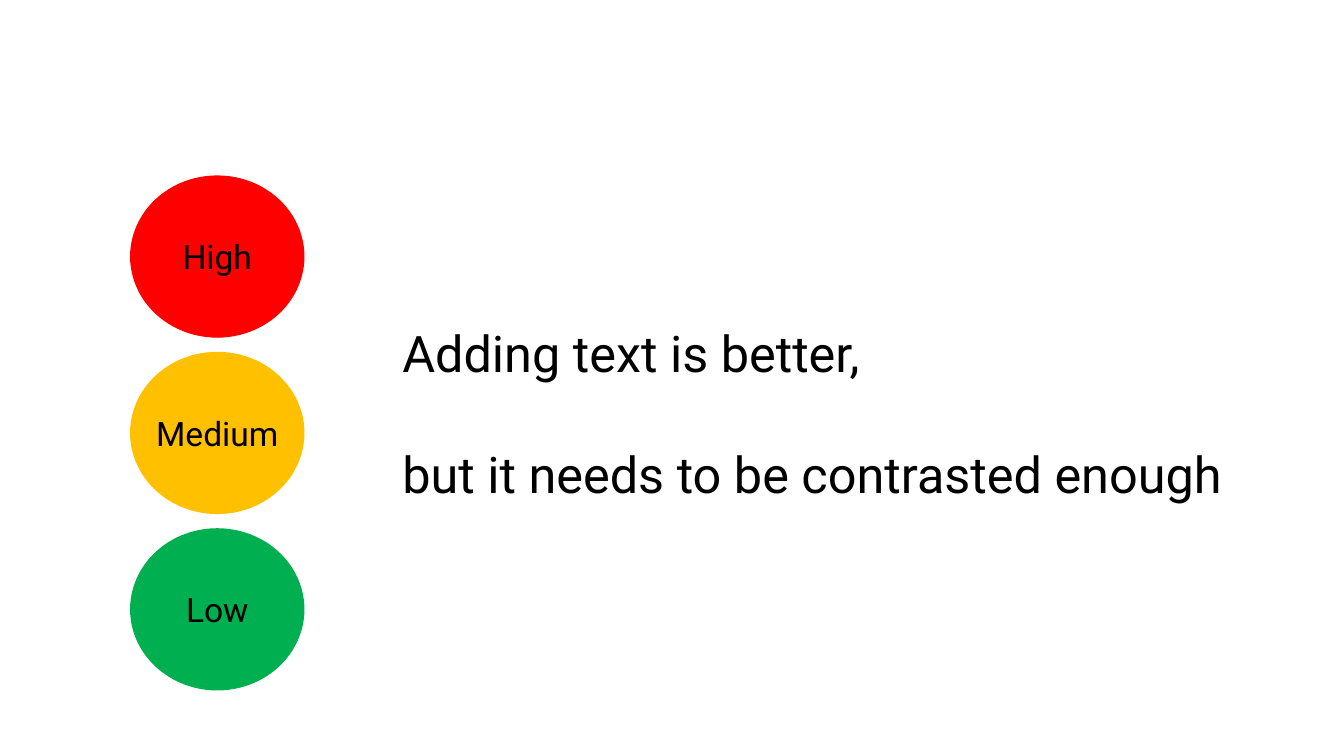
from pptx import Presentation
from pptx.dml.color import RGBColor
from pptx.enum.shapes import MSO_SHAPE
from pptx.enum.text import MSO_ANCHOR, PP_ALIGN
from pptx.util import Inches, Pt

BLACK = RGBColor(0x00, 0x00, 0x00)
RED = RGBColor(0xFF, 0x00, 0x00)
AMBER = RGBColor(0xFF, 0xC0, 0x00)
GREEN = RGBColor(0x00, 0xB0, 0x50)

LIGHT_LEFT, LIGHT_TOP = 1.29, 1.74
LIGHT_WIDTH, LIGHT_HEIGHT = 1.73, 1.61
LIGHT_PITCH = 1.75
LABEL_WIDTH, LABEL_HEIGHT = 1.22, 0.4
LABEL_LEFT = LIGHT_LEFT + (LIGHT_WIDTH - LABEL_WIDTH) / 2
LABEL_DROP = (LIGHT_HEIGHT - LABEL_HEIGHT) / 2


def add_text(shapes, left, top, width, height, text, size, margin):
    box = shapes.add_textbox(Inches(left), Inches(top), Inches(width), Inches(height))
    frame = box.text_frame
    frame.word_wrap = True
    frame.margin_left = frame.margin_right = Inches(margin)
    frame.margin_top = frame.margin_bottom = Inches(margin)
    frame.text = text
    for paragraph in frame.paragraphs:
        paragraph.font.name = "Roboto"
        paragraph.font.size = Pt(size)
        paragraph.font.color.rgb = BLACK
    return frame


presentation = Presentation()
presentation.slide_width = Inches(13.33)
presentation.slide_height = Inches(7.5)
slide = presentation.slides.add_slide(presentation.slide_layouts[6])

lights = [("High", RED), ("Medium", AMBER), ("Low", GREEN)]
for row, (level, color) in enumerate(lights):
    top = LIGHT_TOP + row * LIGHT_PITCH
    group = slide.shapes.add_group_shape()
    light = group.shapes.add_shape(
        MSO_SHAPE.OVAL, Inches(LIGHT_LEFT), Inches(top), Inches(LIGHT_WIDTH), Inches(LIGHT_HEIGHT)
    )
    light.shadow.inherit = False
    light.fill.solid()
    light.fill.fore_color.rgb = color
    light.line.fill.background()
    label = add_text(
        group.shapes, LABEL_LEFT, top + LABEL_DROP, LABEL_WIDTH, LABEL_HEIGHT, level, 24, 0
    )
    label.vertical_anchor = MSO_ANCHOR.MIDDLE
    label.paragraphs[0].alignment = PP_ALIGN.CENTER

message = add_text(
    slide.shapes, 3.94, 2.55, 8.28, 1.89,
    "Adding text is better,\nbut it needs to be contrasted enough", 36, 0.05,
)
for paragraph in message.paragraphs:
    paragraph.line_spacing = 2.0

presentation.save("out.pptx")
